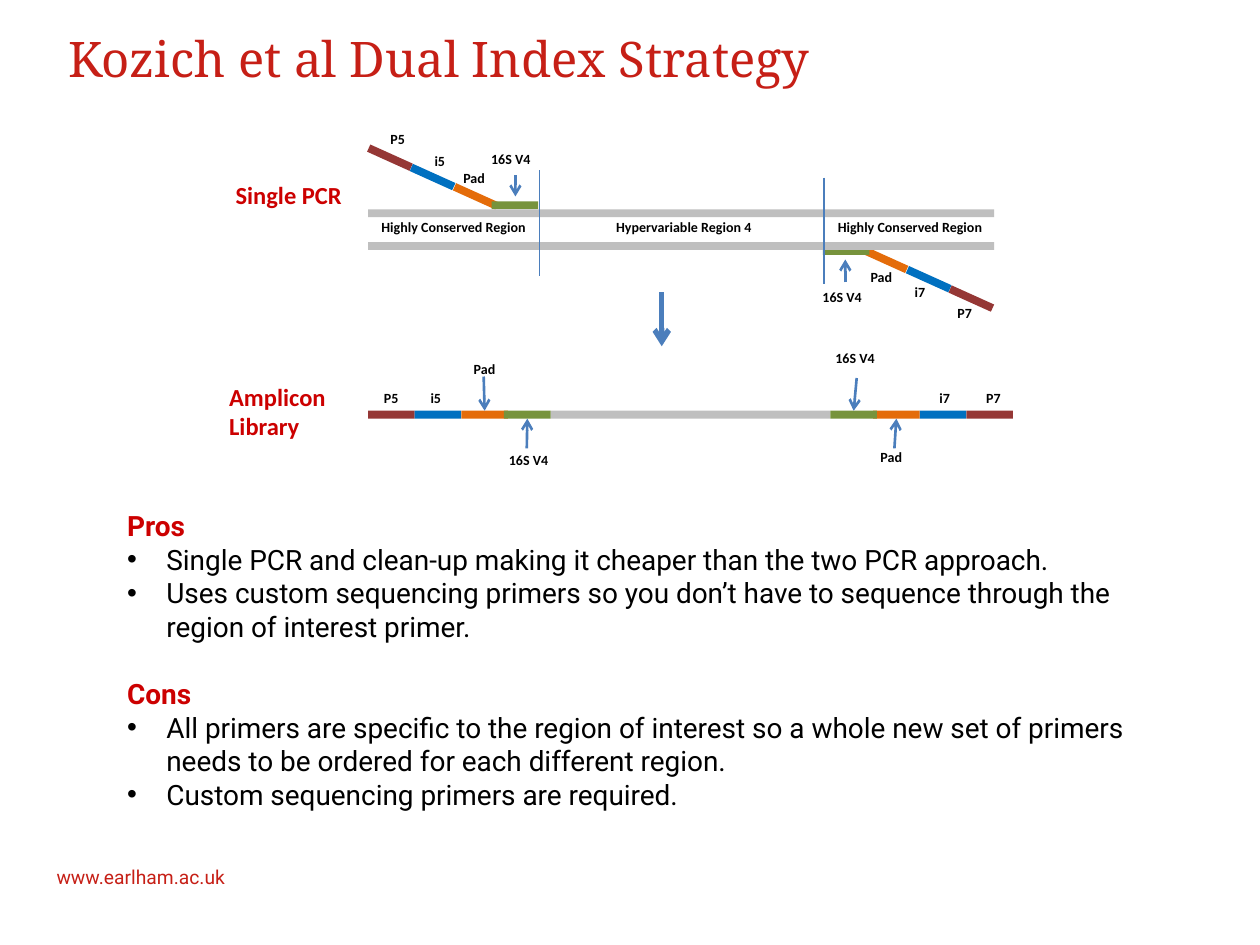
from lxml.etree import SubElement
from pptx import Presentation
from pptx.dml.color import RGBColor
from pptx.enum.shapes import MSO_CONNECTOR, MSO_SHAPE
from pptx.enum.text import MSO_ANCHOR, MSO_AUTO_SIZE, PP_ALIGN
from pptx.oxml.ns import qn
from pptx.util import Cm, Pt

COLORS = {
    "title": "C61F16", "heading": "CC0000", "text": "000000", "arrow": "4B7EBC",
    "adapter": "953735", "index": "0070C0", "pad": "E46C0A", "primer": "77933C",
    "dna": "BFBFBF",
}
SEG_W, SEG_H = 0.94, 0.16

prs = Presentation()
prs.slide_width, prs.slide_height = Cm(25.4), Cm(19.05)
s = prs.slides.add_slide(prs.slide_layouts[1])


def add_run(p, text, size, font, color, bold=False):
    r = p.add_run()
    r.text = text
    r.font.size = Pt(size)
    r.font.name = font
    r.font.bold = bold
    r.font.color.rgb = RGBColor.from_string(COLORS[color])


def add_bar(x, y, w, color, angle=0):
    sp = s.shapes.add_shape(MSO_SHAPE.RECTANGLE, Cm(x), Cm(y), Cm(w), Cm(SEG_H))
    sp.shadow.inherit = False
    sp.fill.solid()
    sp.fill.fore_color.rgb = RGBColor.from_string(COLORS[color])
    sp.line.fill.background()
    sp.rotation = angle
    return sp


title = s.shapes.title
title.left, title.top, title.width, title.height = Cm(1.12), Cm(0.53), Cm(23.19), Cm(3.18)
tf = title.text_frame
tf.vertical_anchor = MSO_ANCHOR.TOP
tf.margin_top = Cm(0.05)
p = tf.paragraphs[0]
p.alignment = PP_ALIGN.LEFT
add_run(p, "Kozich et al Dual Index Strategy", 28, "Noto Serif", "title")

add_bar(11.1, 8.28, 5.64, "dna")
library = {}
for color, x in [("adapter", 7.42), ("index", 8.36), ("pad", 9.3), ("primer", 10.16)]:
    library[color, "left"] = add_bar(x, 8.28, SEG_W, color)
    library[color, "right"] = add_bar(27.84 - SEG_W - x, 8.28, SEG_W, color)

for color, x, y, angle in [
    ("adapter", 7.39, 3.1, 24.3),
    ("index", 8.25, 3.49, 24.3),
    ("pad", 9.12, 3.88, 24.3),
    ("primer", 9.91, 4.06, 0),
]:
    add_bar(x, y, SEG_W, color, angle)
    add_bar(26.5 - x, 9.04 - y, SEG_W, color, angle)

for y in (4.22, 4.88):
    add_bar(7.42, y, 12.62, "dna")

for x1, y1, x2, y2, width, arrow, target, site in [
    (9.75, 7.59, 9.73, 8.28, 1.5, True, ("pad", "left"), 0),
    (10.62, 9.04, 10.64, 8.43, 1.5, True, ("primer", "left"), 2),
    (17.27, 7.62, 17.25, 8.28, 1.5, True, ("primer", "right"), 0),
    (18.03, 9.04, 18.06, 8.43, 1.5, True, ("pad", "right"), 2),
    (10.39, 3.53, 10.39, 3.96, 1.5, True, None, None),
    (17.04, 5.69, 17.04, 5.23, 1.5, True, None, None),
    (13.34, 5.89, 13.34, 6.98, 3, True, None, None),
    (10.87, 3.43, 10.87, 5.56, 0.75, False, None, None),
    (16.61, 3.58, 16.61, 5.72, 0.75, False, None, None),
]:
    line = s.shapes.add_connector(MSO_CONNECTOR.STRAIGHT, Cm(x1), Cm(y1), Cm(x2), Cm(y2))
    line.line.width = Pt(width)
    line.line.color.rgb = RGBColor.from_string(COLORS["arrow"])
    spPr = line._element.spPr
    if arrow:
        SubElement(spPr.find(qn("a:ln")), qn("a:tailEnd"), type="arrow")
    SubElement(spPr, qn("a:effectLst"))
    if target:
        line.end_connect(library[target], site)

SMALL = (8, "Calibri", "text", True)
LARGE = (14, "Calibri", "heading", True)
for lines, x, y, w, h, style in [
    (["P5"], 7.62, 2.51, 1.24, 0.61, SMALL),
    (["i5"], 8.51, 2.95, 1.24, 0.61, SMALL),
    (["Pad"], 9.09, 3.3, 1.24, 0.61, SMALL),
    (["16S V4"], 9.65, 2.92, 1.5, 0.61, SMALL),
    (["Highly Conserved Region"], 7.44, 4.29, 3.61, 0.61, SMALL),
    (["Hypervariable Region 4"], 12.17, 4.29, 5.41, 0.61, SMALL),
    (["Highly Conserved Region"], 16.64, 4.29, 3.61, 0.61, SMALL),
    (["16S V4"], 16.33, 5.69, 1.5, 0.61, SMALL),
    (["Pad"], 17.3, 5.28, 1.24, 0.61, SMALL),
    (["i7"], 18.19, 5.59, 1.24, 0.61, SMALL),
    (["P7"], 19.05, 6.02, 1.24, 0.61, SMALL),
    (["P5"], 7.49, 7.72, 1.24, 0.61, SMALL),
    (["i5"], 8.43, 7.72, 1.24, 0.61, SMALL),
    (["Pad"], 9.3, 7.14, 1.24, 0.61, SMALL),
    (["16S V4"], 10.01, 8.97, 1.5, 0.61, SMALL),
    (["16S V4"], 16.59, 6.93, 1.5, 0.61, SMALL),
    (["Pad"], 17.5, 8.92, 1.24, 0.61, SMALL),
    (["i7"], 18.69, 7.72, 1.24, 0.61, SMALL),
    (["P7"], 19.63, 7.72, 1.24, 0.61, SMALL),
    (["Single PCR"], 4.5, 3.51, 3.12, 0.86, LARGE),
    (["Amplicon", "Library"], 4.37, 7.57, 3.12, 1.45, LARGE),
    (["www.earlham.ac.uk"], 0.89, 17.32, 5, 0.74, (11, "Roboto", "title")),
]:
    tf = s.shapes.add_textbox(Cm(x), Cm(y), Cm(w), Cm(h)).text_frame
    tf.word_wrap = True
    for i, text in enumerate(lines):
        p = tf.add_paragraph() if i else tf.paragraphs[0]
        add_run(p, text, *style)

body = s.placeholders[1]
body.left, body.top, body.width, body.height = Cm(2.31), Cm(10.13), Cm(21.41), Cm(7.95)
tf = body.text_frame
tf.auto_size = MSO_AUTO_SIZE.NONE
for i, (text, heading) in enumerate([
    ("Pros", True),
    ("Single PCR and clean-up making it cheaper than the two PCR approach.", False),
    ("Uses custom sequencing primers so you don’t have to sequence through the region of interest primer.", False),
    ("Cons", True),
    ("All primers are specific to the region of interest so a whole new set of primers needs to be ordered for each different region.", False),
    ("Custom sequencing primers are required.", False),
]):
    p = tf.add_paragraph() if i else tf.paragraphs[0]
    pPr = p._p.get_or_add_pPr()
    indent = 0 if heading else Cm(0.79)
    pPr.set("marL", str(indent))
    pPr.set("indent", str(-indent))
    if heading:
        SubElement(pPr, qn("a:buNone"))
    else:
        SubElement(pPr, qn("a:buFont"), typeface="Arial")
        SubElement(pPr, qn("a:buChar"), char="•")
    p.space_before = Pt(19.2 if heading and i else 0)
    add_run(p, text, 16, "Roboto", "heading" if heading else "text", heading)

prs.save("out.pptx")
